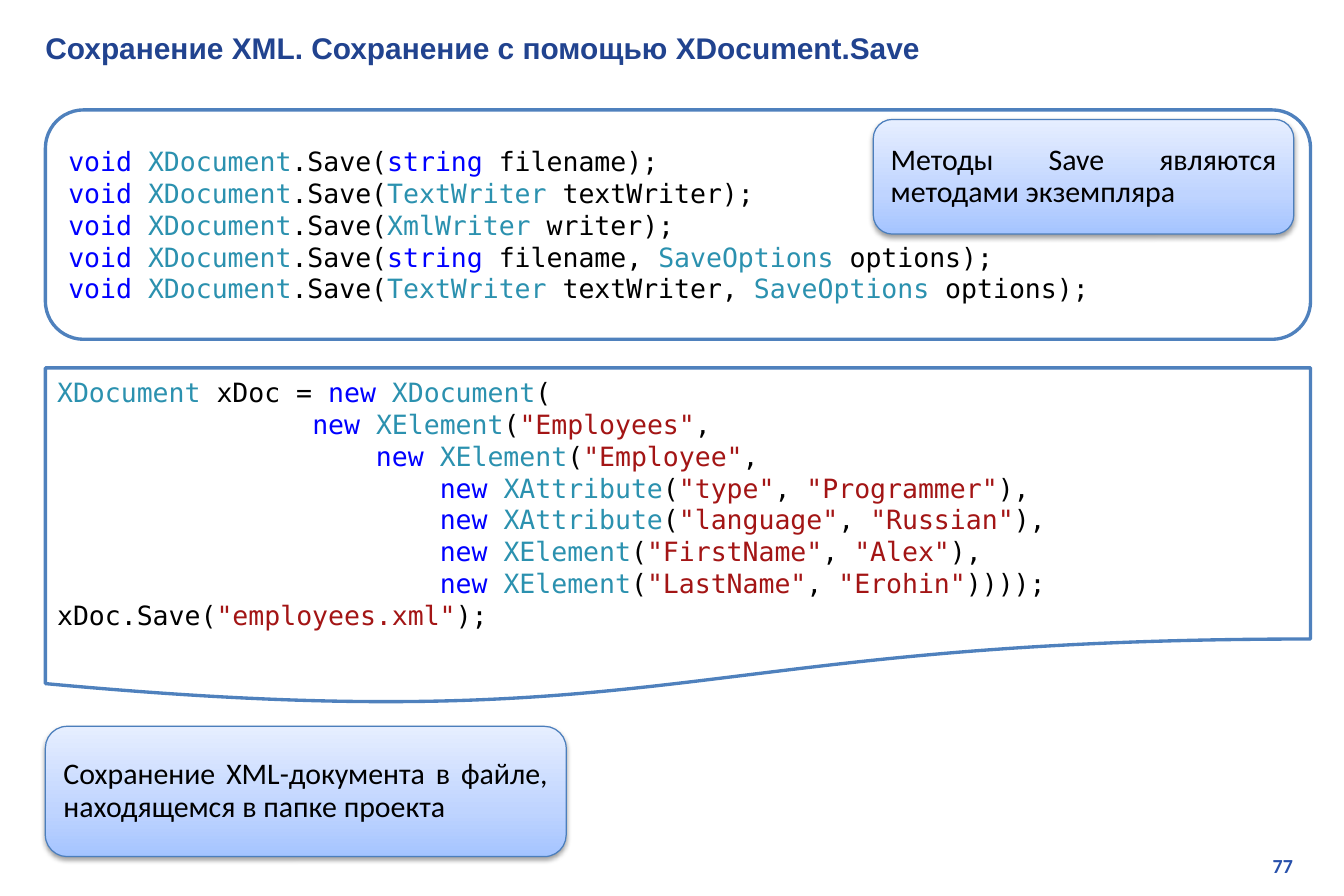
from itertools import groupby

from pptx import Presentation
from pptx.dml.color import RGBColor
from pptx.enum.shapes import MSO_SHAPE
from pptx.enum.text import MSO_ANCHOR, MSO_AUTO_SIZE, PP_ALIGN
from pptx.oxml import parse_xml
from pptx.oxml.ns import nsdecls, qn
from pptx.util import Inches, Pt

TITLE = "Сохранение XML. Сохранение с помощью XDocument.Save"
SLIDE_NUMBER = "77"

SIGNATURES = """void XDocument.Save(string filename);
void XDocument.Save(TextWriter textWriter);
void XDocument.Save(XmlWriter writer);
void XDocument.Save(string filename, SaveOptions options);
void XDocument.Save(TextWriter textWriter, SaveOptions options);"""

EXAMPLE = """XDocument xDoc = new XDocument(
                new XElement("Employees",
                    new XElement("Employee",
                        new XAttribute("type", "Programmer"),
                        new XAttribute("language", "Russian"),
                        new XElement("FirstName", "Alex"),
                        new XElement("LastName", "Erohin"))));
xDoc.Save("employees.xml");"""

CODE_PANELS = [
    (MSO_SHAPE.FLOWCHART_DOCUMENT, 3.08, 2.83, EXAMPLE),
    (MSO_SHAPE.ROUNDED_RECTANGLE, 0.92, 1.92, SIGNATURES),
]
CALLOUTS = [
    ((0.38, 6.08, 4.36, 1.09), "Сохранение XML-документа в файле, находящемся в папке проекта"),
    ((7.31, 1, 3.52, 0.96), "Методы Save являются методами экземпляра"),
]

KEYWORDS = {"void", "string", "new"}
TYPES = {"XDocument", "XElement", "XAttribute", "TextWriter", "XmlWriter", "SaveOptions"}

BLACK = RGBColor(0x00, 0x00, 0x00)
WHITE = RGBColor(0xFF, 0xFF, 0xFF)
TITLE_BLUE = RGBColor(0x21, 0x43, 0x8F)
NUMBER_BLUE = RGBColor(0x27, 0x50, 0xAB)
PANEL_BORDER = RGBColor(0x4F, 0x81, 0xBD)
CALLOUT_BORDER = RGBColor(0x4B, 0x7E, 0xBC)
KEYWORD_BLUE = RGBColor(0x00, 0x00, 0xFF)
TYPE_TEAL = RGBColor(0x2B, 0x91, 0xAF)
STRING_RED = RGBColor(0xA3, 0x15, 0x15)
CALLOUT_STOPS = [
    (0, RGBColor(0xA4, 0xC4, 0xFF)),
    (35, RGBColor(0xBF, 0xD4, 0xFF)),
    (100, RGBColor(0xE6, 0xEE, 0xFF)),
]


def add_run(paragraph, text, font_name, size, color, bold=False):
    run = paragraph.add_run()
    run.text = text
    run.font.name = font_name
    run.font.size = Pt(size)
    run.font.color.rgb = color
    run.font.bold = bold


def word_color(word):
    if word in KEYWORDS:
        return KEYWORD_BLUE
    return TYPE_TEAL if word in TYPES else BLACK


def color_tokens(line):
    tokens = []
    for index, part in enumerate(line.split('"')):
        if index % 2:
            tokens.append((f'"{part}"', STRING_RED))
        else:
            words = ("".join(group) for _, group in groupby(part, str.isalnum))
            tokens.extend((word, word_color(word)) for word in words)
    for color, group in groupby(tokens, lambda token: token[1]):
        yield "".join(text for text, _ in group), color


def add_box(slide, kind, box, border, border_width):
    shape = slide.shapes.add_shape(kind, *map(Inches, box))
    shape.shadow.inherit = False
    shape.line.color.rgb = border
    shape.line.width = Pt(border_width)
    shape.text_frame.word_wrap = True
    shape.text_frame.vertical_anchor = MSO_ANCHOR.MIDDLE
    return shape


def add_code_panel(slide, kind, top, height, code):
    shape = add_box(slide, kind, (0.38, top, 10.59, height), PANEL_BORDER, 2)
    shape.fill.solid()
    shape.fill.fore_color.rgb = WHITE
    frame = shape.text_frame
    for index, line in enumerate(code.splitlines()):
        paragraph = frame.add_paragraph() if index else frame.paragraphs[0]
        paragraph.alignment = PP_ALIGN.LEFT
        for text, color in color_tokens(line):
            add_run(paragraph, text, "DejaVu Sans Mono", 16, color)


def add_callout(slide, box, text):
    shape = add_box(slide, MSO_SHAPE.ROUNDED_RECTANGLE, box, CALLOUT_BORDER, 0.75)
    shape.fill.gradient()
    shape.fill.gradient_angle = 90
    properties = shape._element.spPr
    stops = properties.find(qn("a:gradFill")).find(qn("a:gsLst"))
    for stop in list(stops):
        stops.remove(stop)
    for position, color in CALLOUT_STOPS:
        stops.append(parse_xml(
            f'<a:gs {nsdecls("a")} pos="{position * 1000}"><a:srgbClr val="{color}"/></a:gs>'))
    properties.find(qn("a:effectLst")).append(parse_xml(
        f'<a:outerShdw {nsdecls("a")} blurRad="{Pt(3.1)}" dist="{Pt(1.6)}" dir="5400000" '
        'rotWithShape="0"><a:srgbClr val="000000"><a:alpha val="38000"/></a:srgbClr></a:outerShdw>'))
    paragraph = shape.text_frame.paragraphs[0]
    paragraph.alignment = PP_ALIGN.JUSTIFY
    paragraph.line_spacing = 0.9
    add_run(paragraph, text, "Calibri", 18, BLACK)


def add_title(slide):
    title = slide.shapes.title
    title.left, title.top, title.width, title.height = map(Inches, (0.28, 0.2, 10.74, 0.4))
    frame = title.text_frame
    frame.auto_size = MSO_AUTO_SIZE.NONE
    frame.vertical_anchor = MSO_ANCHOR.MIDDLE
    paragraph = frame.paragraphs[0]
    paragraph.alignment = PP_ALIGN.LEFT
    add_run(paragraph, TITLE, "Arial", 18, TITLE_BLUE, True)


def add_slide_number(slide):
    number = slide.shapes.add_textbox(*map(Inches, (8.54, 7.1, 2.38, 0.3)))
    number.text_frame.word_wrap = True
    paragraph = number.text_frame.paragraphs[0]
    paragraph.alignment = PP_ALIGN.RIGHT
    add_run(paragraph, SLIDE_NUMBER, "Calibri", 12, NUMBER_BLUE, True)


def main():
    presentation = Presentation()
    presentation.slide_width = Inches(11.25)
    presentation.slide_height = Inches(7.5)
    slide = presentation.slides.add_slide(presentation.slide_layouts[5])
    add_title(slide)
    add_slide_number(slide)
    for panel in CODE_PANELS:
        add_code_panel(slide, *panel)
    for box, text in CALLOUTS:
        add_callout(slide, box, text)
    presentation.save("out.pptx")


if __name__ == "__main__":
    main()
